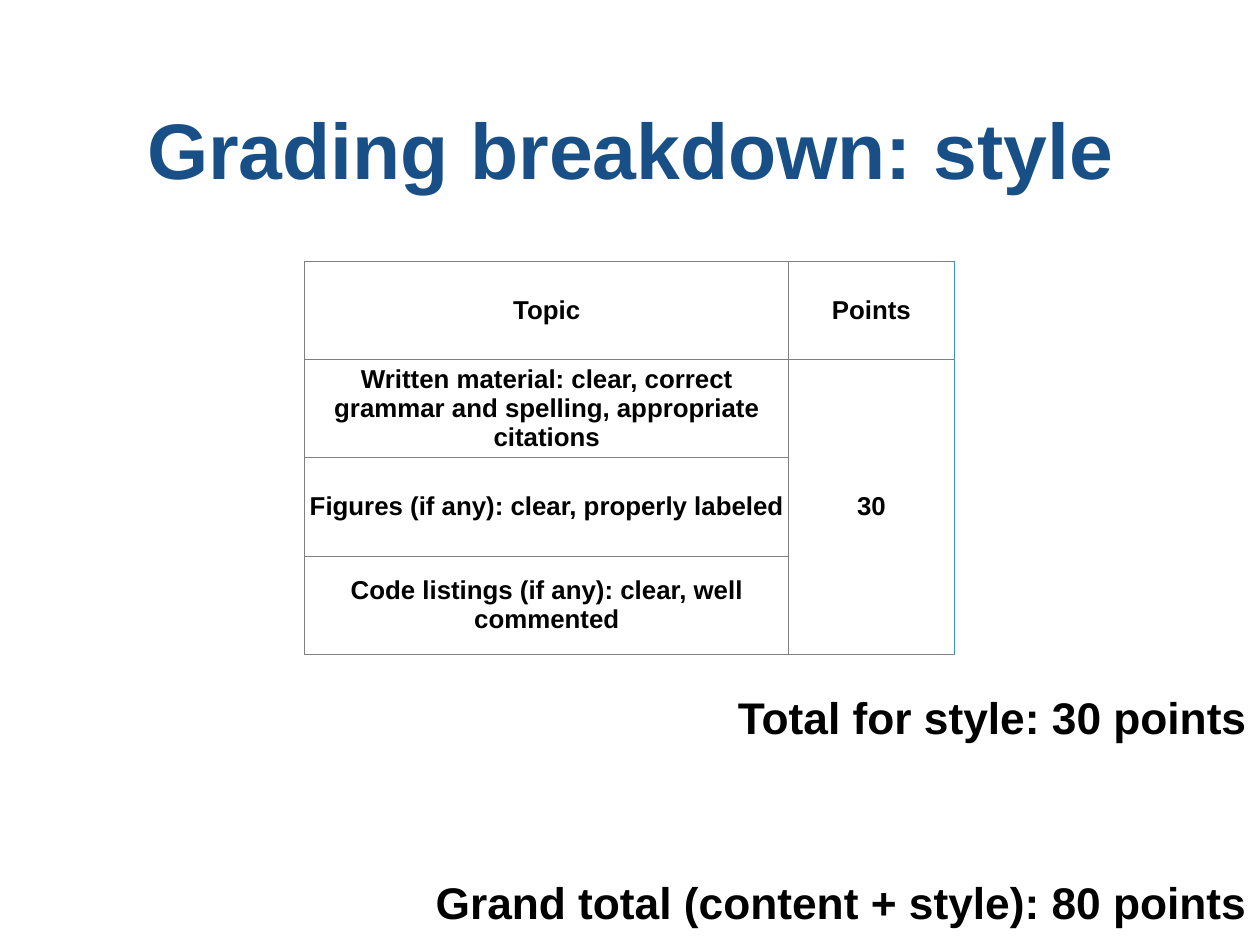
from lxml import etree
from pptx import Presentation
from pptx.dml.color import RGBColor
from pptx.enum import text
from pptx.oxml import ns
from pptx.util import Inches, Pt

TITLE = "Grading breakdown: style"
HEADER = ("Topic", "Points")
TOPICS = [
    "Written material: clear, correct grammar and spelling, appropriate citations",
    "Figures (if any): clear, properly labeled",
    "Code listings (if any): clear, well commented",
]
POINTS = "30"
TOTALS = [
    ("Total for style: 30 points", 7.78, 5.87),
    ("Grand total (content + style): 80 points", 9.87, 9.28),
]
COLUMNS = (5.46, 1.87)
ROW_HEIGHT = 1.11
TOTALS_RIGHT = 14.13
INSET = 0.06
GRID, EDGE = "808080", "3797C6"


def color(value):
    return RGBColor.from_string(value)


def write(frame, words, size, fill="000000", align=text.PP_ALIGN.CENTER, spacing=1.0):
    para = frame.paragraphs[0]
    para.alignment = align
    para.line_spacing = spacing
    span = para.add_run()
    span.text = words
    font = span.font
    font.name, font.size, font.bold = "Arial", Pt(size), True
    font.color.rgb = color(fill)


def set_insets(holder, side=INSET):
    holder.margin_left = holder.margin_right = Inches(side)
    holder.margin_top = holder.margin_bottom = Inches(INSET)
    holder.vertical_anchor = text.MSO_ANCHOR.MIDDLE


def add_borders(cell, right):
    properties = cell._tc.get_or_add_tcPr()
    for side in ("lnL", "lnR", "lnT", "lnB"):
        line = etree.SubElement(properties, ns.qn("a:" + side), w=str(Pt(1)))
        fill = etree.SubElement(line, ns.qn("a:solidFill"))
        etree.SubElement(fill, ns.qn("a:srgbClr"), val=right if side == "lnR" else GRID)


def add_title(page):
    title = page.shapes.title
    title.left, title.top, title.width, title.height = map(Inches, (0.48, 0.49, 13.27, 2.36))
    set_insets(title.text_frame)
    write(title.text_frame, TITLE, 64, fill="174F86")


def add_grades(page):
    rows = [HEADER] + [(topic, "") for topic in TOPICS]
    rows[1] = (TOPICS[0], POINTS)
    frame = page.shapes.add_table(
        len(rows), len(COLUMNS), Inches(3.44), Inches(2.95),
        Inches(sum(COLUMNS)), Inches(ROW_HEIGHT * len(rows)))
    table = frame.table
    table.first_row = table.horz_banding = False
    for column, width in zip(table.columns, COLUMNS):
        column.width = Inches(width)
    for r, row in enumerate(rows):
        table.rows[r].height = Inches(ROW_HEIGHT)
        for c, words in enumerate(row):
            cell = table.cell(r, c)
            set_insets(cell, side=0.04)
            add_borders(cell, EDGE if c == len(COLUMNS) - 1 else GRID)
            cell.fill.solid()
            cell.fill.fore_color.rgb = color("FFFFFF")
            if words:
                write(cell.text_frame, words, 21)
    table.cell(1, 1).merge(table.cell(len(TOPICS), 1))


def add_total(page, words, top, width):
    box = page.shapes.add_textbox(
        Inches(TOTALS_RIGHT - width), Inches(top), Inches(width), Inches(0.71))
    frame = box.text_frame
    frame.word_wrap = False
    frame.auto_size = text.MSO_AUTO_SIZE.SHAPE_TO_FIT_TEXT
    set_insets(frame)
    write(frame, words, 36, align=text.PP_ALIGN.RIGHT, spacing=0.9)


def main():
    deck = Presentation()
    deck.slide_width, deck.slide_height = Inches(14.22), Inches(10.67)
    page = deck.slides.add_slide(deck.slide_layouts[5])
    add_title(page)
    add_grades(page)
    for total in TOTALS:
        add_total(page, *total)
    deck.save("out.pptx")


if __name__ == "__main__":
    main()
